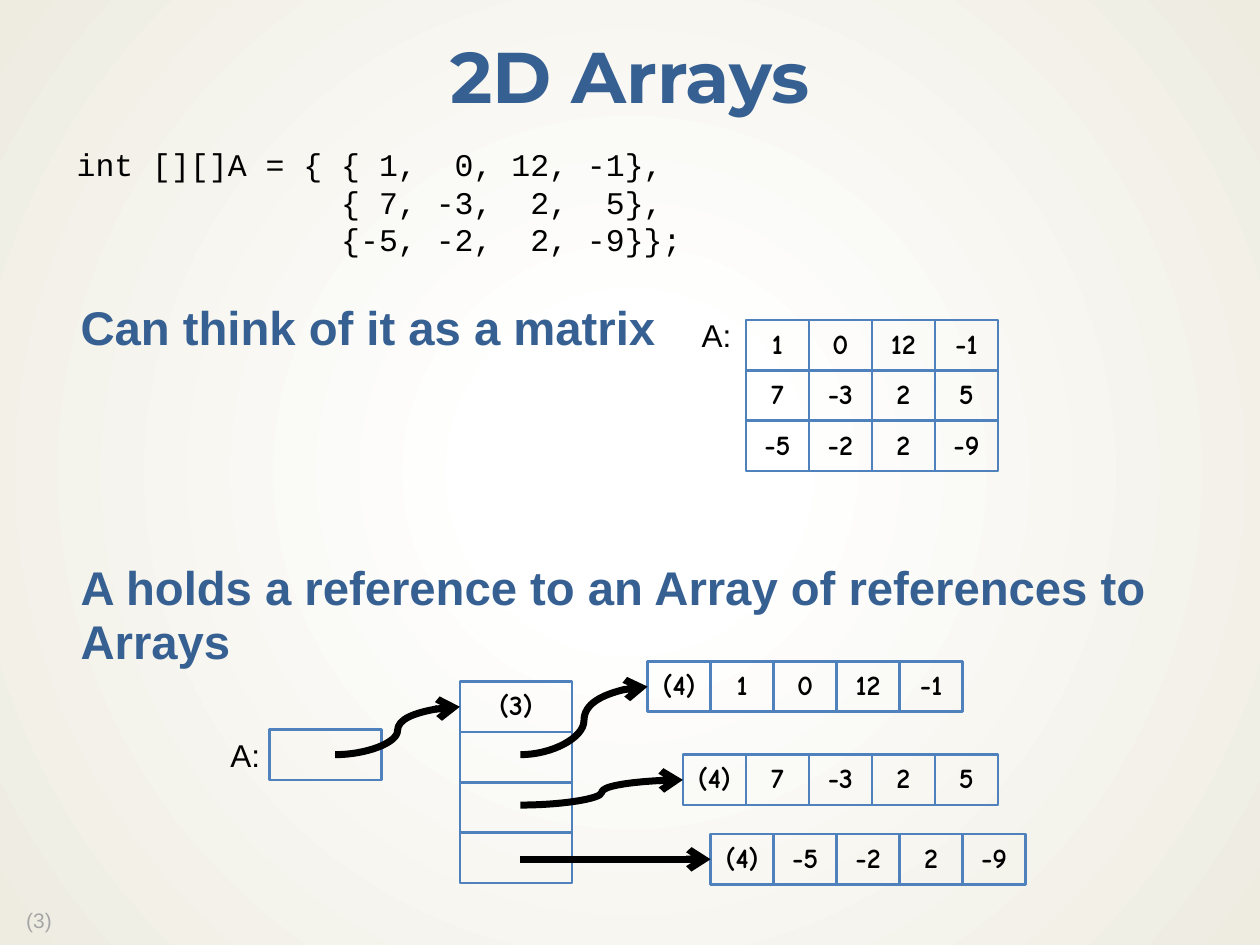
from dataclasses import dataclass

from lxml import etree
from pptx import Presentation
from pptx.dml.color import RGBColor
from pptx.enum.shapes import MSO_CONNECTOR, MSO_SHAPE
from pptx.enum.text import MSO_ANCHOR, PP_ALIGN
from pptx.oxml.ns import qn
from pptx.util import Inches, Pt

CURVE = MSO_CONNECTOR.CURVE
RECTANGLE = MSO_SHAPE.RECTANGLE
MIDDLE = MSO_ANCHOR.MIDDLE
CENTER = PP_ALIGN.CENTER


@dataclass(frozen=True)
class Theme:
    heading: RGBColor = RGBColor(0x37, 0x60, 0x92)
    cell_line: RGBColor = RGBColor(0x4F, 0x81, 0xBD)
    ink: RGBColor = RGBColor(0, 0, 0)
    muted: RGBColor = RGBColor(0xA6, 0xA6, 0xA6)
    center: RGBColor = RGBColor(0xFF, 0xFF, 0xFF)
    edge: RGBColor = RGBColor(0xEE, 0xEC, 0xE1)
    title_size: int = 41
    statement_size: int = 27
    text_size: int = 18
    cell_size: int = 16
    number_size: int = 12


theme = Theme()
VALUES = [["1", "0", "12", "-1"], ["7", "-3", "2", "5"], ["-5", "-2", "2", "-9"]]
CELL_WIDTH, CELL_HEIGHT, REFERENCE_WIDTH = 0.5, 0.4, 0.89

presentation = Presentation()
presentation.slide_width = Inches(10)
presentation.slide_height = Inches(7.5)
slide = presentation.slides.add_slide(presentation.slide_layouts[5])


def write(frame, lines, font_name, size, color, bold=False, align=None, spacing=None):
    for index, line in enumerate(lines):
        paragraph = frame.paragraphs[0] if index == 0 else frame.add_paragraph()
        paragraph.alignment = align
        paragraph.line_spacing = spacing
        run = paragraph.add_run()
        run.text = line
        run.font.name = font_name
        run.font.size = Pt(size)
        run.font.bold = bold
        run.font.color.rgb = color


def add_cell(left, top, width, text=""):
    cell = slide.shapes.add_shape(
        RECTANGLE, Inches(left), Inches(top), Inches(width), Inches(CELL_HEIGHT))
    cell.shadow.inherit = False
    cell.fill.background()
    cell.line.color.rgb = theme.cell_line
    cell.line.width = Pt(1.5)
    if text:
        frame = cell.text_frame
        frame.margin_left = frame.margin_right = 0
        frame.vertical_anchor = MIDDLE
        write(frame, [text], "Comic Neue", theme.cell_size, theme.ink, True, CENTER, 0.9)


# Background: radial gradient from the middle of the slide
background = slide.background.fill
background.gradient()
for stop, position, color in zip(background.gradient_stops, (0.18, 1), (theme.center, theme.edge)):
    stop.position = position
    stop.color.rgb = color
gradient = slide.element.find(".//" + qn("a:gradFill"))
linear = gradient.find(qn("a:lin"))
circle = etree.Element(qn("a:path"), {"path": "circle"})
etree.SubElement(circle, qn("a:fillToRect"), dict.fromkeys("ltrb", "50000"))
gradient.replace(linear, circle)

# Title
title = slide.shapes.title
title.left, title.top, title.width, title.height = (
    Inches(0), Inches(0.17), Inches(10), Inches(0.94))
title.text_frame.vertical_anchor = MIDDLE
write(title.text_frame, ["2D Arrays"], "Montserrat", theme.title_size, theme.heading,
      True, CENTER, 0.9)

# Statements
for statement, top, height in [
    ("Can think of it as a matrix", 2.4, 0.45),
    ("A holds a reference to an Array of references to Arrays", 4.47, 0.85),
]:
    box = slide.shapes.add_textbox(Inches(0.64), Inches(top), Inches(8.87), Inches(height))
    frame = box.text_frame
    frame.word_wrap = True
    frame.margin_left = frame.margin_right = frame.margin_top = frame.margin_bottom = 0
    write(frame, [statement], "Arial", theme.statement_size, theme.heading, True, spacing=0.94)

# Code, array labels and slide number
code = [
    "int [][]A = { { 1,  0, 12, -1},",
    "              { 7, -3,  2,  5},",
    "              {-5, -2,  2, -9}};",
]
for lines, left, top, width, height, font_name, size, color in [
    (code, 0.51, 1.1, 5.05, 1.01, "Courier New", theme.text_size, theme.ink),
    (["A:"], 5.47, 2.46, 0.45, 0.4, "Arial", theme.text_size, theme.ink),
    (["A:"], 1.73, 5.79, 0.45, 0.4, "Arial", theme.text_size, theme.ink),
    (["(3)"], 0.11, 7.15, 0.5, 0.28, "Arial", theme.number_size, theme.muted),
]:
    box = slide.shapes.add_textbox(Inches(left), Inches(top), Inches(width), Inches(height))
    box.text_frame.word_wrap = False
    write(box.text_frame, lines, font_name, size, color)

# Matrix
for row, values in enumerate(VALUES):
    for column, value in enumerate(values):
        add_cell(5.92 + column * CELL_WIDTH, 2.54 + row * CELL_HEIGHT, CELL_WIDTH, value)

# Variable A and the array of references
add_cell(2.14, 5.79, REFERENCE_WIDTH)
for row, text in enumerate(["(3)", "", "", ""]):
    add_cell(3.65, 5.41 + row * CELL_HEIGHT, REFERENCE_WIDTH, text)

# Row arrays, each led by its length
row_positions = [(5.14, 5.25), (5.42, 5.99), (5.64, 6.62)]
for (left, top), values in zip(row_positions, VALUES):
    for column, value in enumerate(["(4)"] + values):
        add_cell(left + column * CELL_WIDTH, top, CELL_WIDTH, value)

# References
targets = [(3.65, 5.41)] + row_positions
for start, (left, top) in zip([(2.66, 5.99), (4.13, 5.99), (4.13, 6.39), (4.13, 6.82)], targets):
    arrow = slide.shapes.add_connector(
        CURVE, Inches(start[0]), Inches(start[1]), Inches(left), Inches(top + CELL_HEIGHT / 2))
    arrow.line.color.rgb = theme.ink
    arrow.line.width = Pt(4)
    etree.SubElement(arrow.line._get_or_add_ln(), qn("a:tailEnd"), {"type": "arrow"})
    etree.SubElement(arrow.element.spPr, qn("a:effectLst"))

presentation.save("out.pptx")
